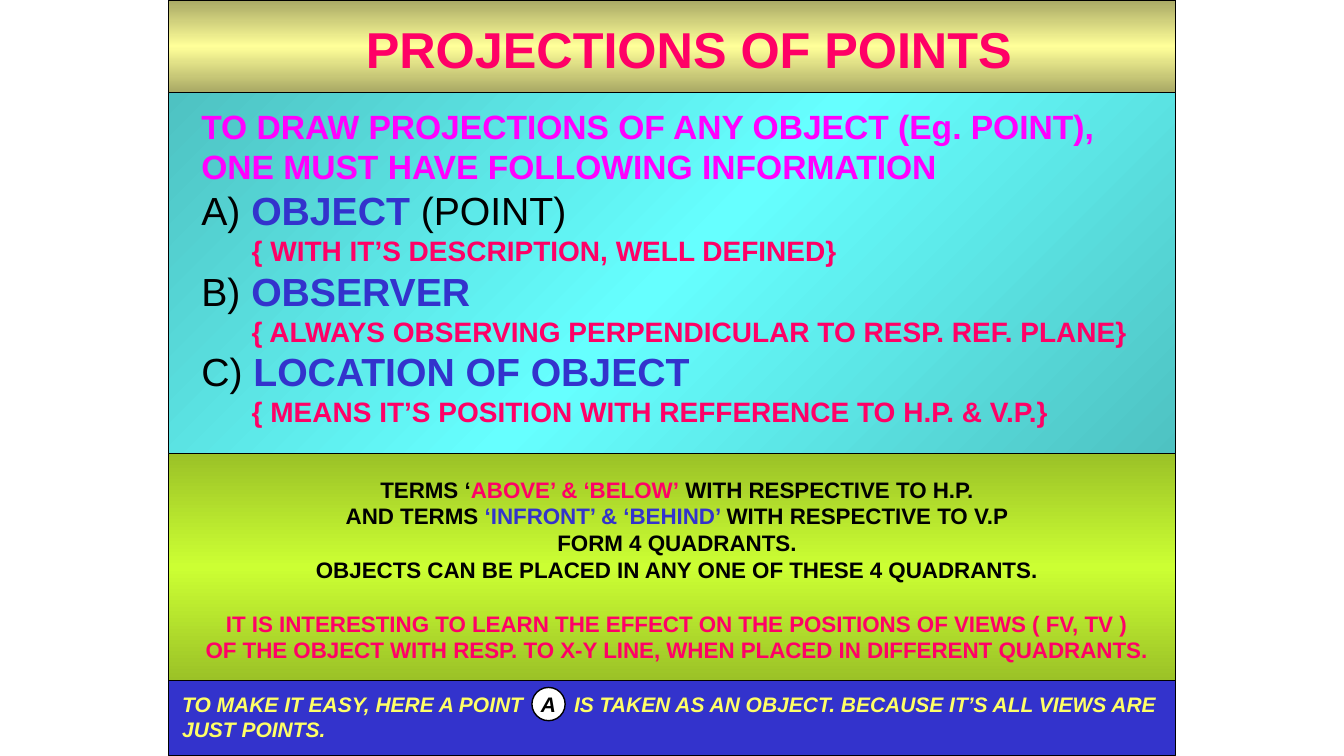
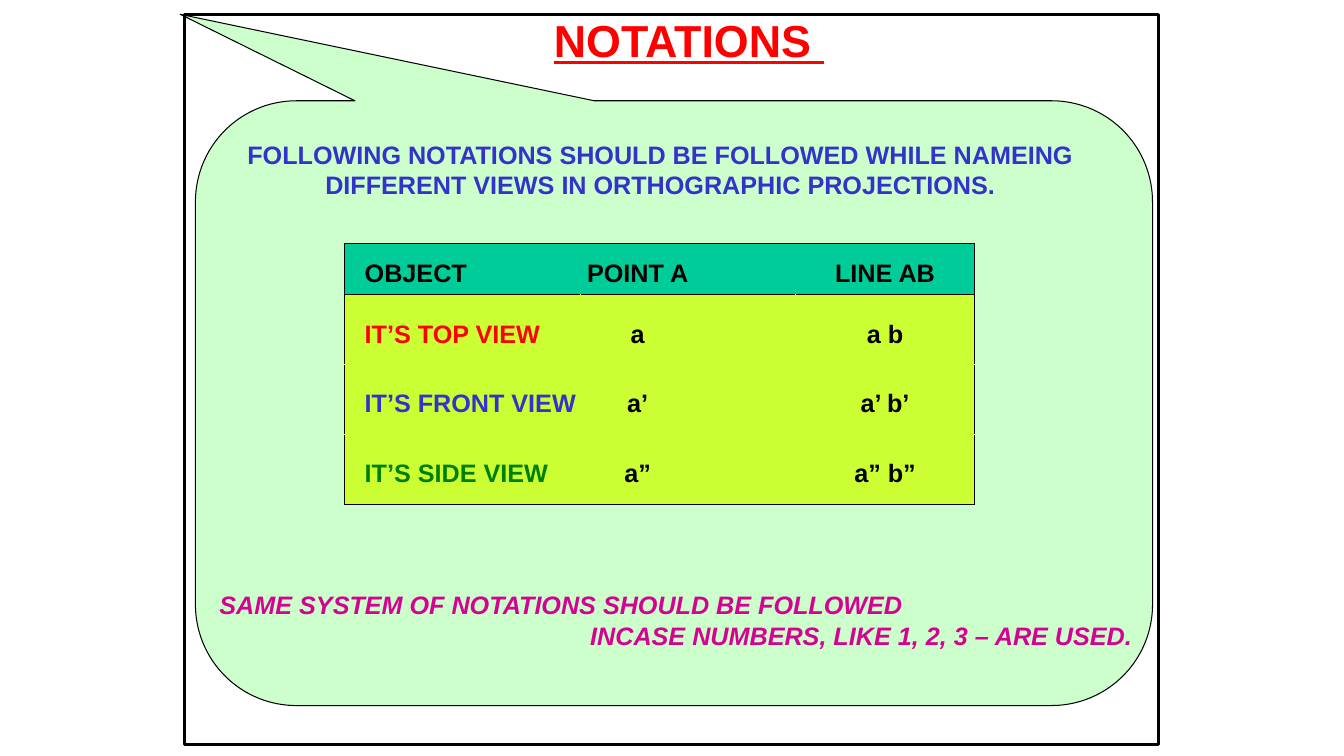
from copy import deepcopy

from lxml.etree import SubElement
from pptx import Presentation
from pptx.dml.color import RGBColor
from pptx.enum.shapes import MSO_SHAPE as SHAPE
from pptx.enum.text import MSO_ANCHOR as ANCHOR, PP_ALIGN as ALIGN
from pptx.oxml.ns import qn
from pptx.util import Inches, Pt

FONT = "Arial"
BLACK, WHITE, RED, GREEN = "000000", "FFFFFF", "FF0000", "008000"
PINK, BLUE, MAGENTA, PURPLE = "FF0066", "3333CC", "FF00FF", "D60093"
YELLOW, LIME, TEAL, MINT = "FFFF66", "CCFF33", "00CC99", "CCFFCC"
NO_STYLE_NO_GRID = "{2D5ABB26-0587-4C30-8999-92F81FD0307C}"

# Slide 1 content: (top, height, fill); a gradient is (edge, middle, angle)
BAND_LEFT, BAND_WIDTH = 1.67, 10
BANDS = [
    (6.75, 0.75, BLUE),
    (4.5, 2.25, ("9BC227", LIME, 90)),
    (0.92, 3.58, ("4EC2C2", "66FFFF", 45)),
    (0, 0.92, ("A9A965", "FFFF99", 90)),
]
INTRO = ["TO DRAW PROJECTIONS OF ANY OBJECT (Eg. POINT),",
         "ONE MUST HAVE FOLLOWING INFORMATION"]
# letter, term, addition, explanation
NEEDS = [
    ("A) ", "OBJECT", " (POINT)", "{ WITH IT’S DESCRIPTION, WELL DEFINED}"),
    ("B) ", "OBSERVER", "", "{ ALWAYS OBSERVING PERPENDICULAR TO RESP. REF. PLANE}"),
    ("C) ", "LOCATION OF OBJECT", "", "{ MEANS IT’S POSITION WITH REFFERENCE TO H.P. & V.P.}"),
]
QUADRANTS = [
    [("TERMS ‘", BLACK), ("ABOVE’ & ‘BELOW’", PINK), (" WITH RESPECTIVE TO H.P.", BLACK)],
    [("AND TERMS ", BLACK), ("‘INFRONT’ & ‘BEHIND’ ", BLUE), ("WITH RESPECTIVE TO V.P", BLACK)],
    [("FORM 4 QUADRANTS.", BLACK)],
    [("OBJECTS CAN BE PLACED IN ANY ONE OF THESE 4 QUADRANTS.", BLACK)],
    [("IT IS INTERESTING TO LEARN THE EFFECT ON THE POSITIONS OF VIEWS ( FV, TV )", PINK)],
    [("OF THE OBJECT WITH RESP. TO X-Y LINE, WHEN PLACED IN DIFFERENT QUADRANTS.", PINK)],
]
FOOTNOTE = ["TO MAKE IT EASY, HERE A POINT\tIS TAKEN AS AN OBJECT. BECAUSE IT’S ALL VIEWS ARE",
            "JUST POINTS."]

# Slide 2 content
NAMING = ["FOLLOWING NOTATIONS SHOULD BE FOLLOWED WHILE NAMEING",
          "DIFFERENT VIEWS IN ORTHOGRAPHIC PROJECTIONS."]
NOTATIONS = [
    ("OBJECT", "POINT A", "LINE AB", BLACK),
    ("IT’S TOP VIEW", "a", "a b", RED),
    ("IT’S FRONT VIEW", "a’", "a’ b’", BLUE),
    ("IT’S SIDE VIEW", "a”", "a” b”", GREEN),
]
COLUMN_WIDTHS = [2.34, 2.14, 1.77]
CELL_MARGINS = [(0.2, 0), (0, 1), (0, 0)]  # left, right
HEADER_HEIGHT, BODY_HEIGHT = 0.5, 2.08
NUMBERS = ["SAME SYSTEM OF NOTATIONS SHOULD BE FOLLOWED",
           "INCASE NUMBERS, LIKE 1, 2, 3 – ARE USED."]


def rgb(color):
    return RGBColor.from_string(color)


def box_of(*lengths):
    return [Inches(v) for v in lengths]


def shape(s, kind, box, fill=None, weight=0.75):
    sp = s.shapes.add_shape(kind, *box_of(*box))
    sp.shadow.inherit = False
    sp.line.color.rgb, sp.line.width = rgb(BLACK), Pt(weight)
    if fill is None:
        sp.fill.background()
    elif isinstance(fill, str):
        sp.fill.solid()
        sp.fill.fore_color.rgb = rgb(fill)
    else:
        edge, middle, angle = fill
        sp.fill.gradient()
        sp.fill.gradient_angle = 360 - angle
        stops = sp._element.spPr.find(qn("a:gradFill")).find(qn("a:gsLst"))
        stops.append(deepcopy(stops[0]))
        for stop, pos, color in zip(sp.fill.gradient_stops, (0, 0.5, 1), (edge, middle, edge)):
            stop.position, stop.color.rgb = pos, rgb(color)
    return sp


def add_run(p, text, color, size, bold=True, italic=False, underline=False):
    r = p.add_run()
    r.text = text
    f = r.font
    f.name, f.size, f.color.rgb = FONT, Pt(size), rgb(color)
    f.bold, f.italic, f.underline = bold, italic, underline


def indent(p, inches):
    p._p.get_or_add_pPr().set("marL", str(Inches(inches)))


def text_box(s, box, lines, size, align=ALIGN.LEFT, wrap=True, **style):
    """Each line is a list of (text, color) runs, with an optional size and bold flag."""
    tf = s.shapes.add_textbox(*box_of(*box)).text_frame
    tf.word_wrap = wrap
    for i, line in enumerate(lines):
        p = tf.paragraphs[0] if i == 0 else tf.add_paragraph()
        p.alignment = align
        for text, color, *own in line:
            add_run(p, text, color, *(own or [size]), **style)
    return tf.paragraphs


def one_color(lines, color):
    return [[(line, color)] for line in lines]


def notation_table(s):
    rows, cols = len(NOTATIONS), len(COLUMN_WIDTHS)
    table = s.shapes.add_table(rows, cols, *box_of(
        3.42, 2.42, sum(COLUMN_WIDTHS), HEADER_HEIGHT + BODY_HEIGHT)).table
    table.first_row = table.horz_banding = False
    table._tbl.tblPr.find(qn("a:tableStyleId")).text = NO_STYLE_NO_GRID
    for column, width in zip(table.columns, COLUMN_WIDTHS):
        column.width = Inches(width)
    for r, (*texts, color) in enumerate(NOTATIONS):
        fill = TEAL if r == 0 else LIME
        table.rows[r].height = Inches(HEADER_HEIGHT if r == 0 else BODY_HEIGHT / (rows - 1))
        for c, text in enumerate(texts):
            cell = table.cell(r, c)
            cell.vertical_anchor = ANCHOR.MIDDLE
            cell.margin_left, cell.margin_right = box_of(*CELL_MARGINS[c])
            cell.margin_top, cell.margin_bottom = box_of(0.1, 0)
            # Black outline and header rule; inner borders blend into the fill
            edges = {"lnL": c == 0, "lnR": c == cols - 1, "lnT": r < 2, "lnB": r in (0, rows - 1)}
            for tag, black in edges.items():
                ln = SubElement(cell._tc.get_or_add_tcPr(), qn("a:" + tag), w=str(Pt(0.75)))
                SubElement(SubElement(ln, qn("a:solidFill")), qn("a:srgbClr"),
                           val=BLACK if black else fill)
            cell.fill.solid()
            cell.fill.fore_color.rgb = rgb(fill)
            p = cell.text_frame.paragraphs[0]
            p.alignment = ALIGN.LEFT if c == 0 else ALIGN.CENTER
            add_run(p, text, color if c == 0 else BLACK, 18)


def points_slide(s):
    for top, height, fill in BANDS:
        shape(s, SHAPE.RECTANGLE, (BAND_LEFT, top, BAND_WIDTH, height), fill)

    # What must be known
    lines = one_color(INTRO, MAGENTA)
    for letter, term, addition, explanation in NEEDS:
        head = [(letter, BLACK, 28, False), (term, BLUE, 28)]
        if addition:
            head.append((addition, BLACK, 28, False))
        lines += [head, [(explanation, PINK, 20)]]
    paragraphs = text_box(s, (1.9, 1, 9.6, 3.3), lines, 24)
    for p in paragraphs[len(INTRO) + 1::2]:
        indent(p, 0.5)

    # Quadrants, title
    paragraphs = text_box(s, (1.92, 4.67, 9.6, 1.97), QUADRANTS, 16, ALIGN.CENTER)
    paragraphs[4].space_before = Pt(19)
    text_box(s, (3.34, 0.13, 7, 0.7), one_color(["PROJECTIONS OF POINTS"], PINK), 36,
             ALIGN.CENTER)

    # Footnote with the circled point between its two halves
    sp = shape(s, SHAPE.OVAL, (5.28, 6.82, 0.33, 0.33), WHITE, 1)
    tf = sp.text_frame
    tf.margin_left = tf.margin_right = tf.margin_top = tf.margin_bottom = 0
    tf.word_wrap = False
    tf.vertical_anchor = ANCHOR.MIDDLE
    tf.paragraphs[0].alignment = ALIGN.CENTER
    add_run(tf.paragraphs[0], "A", BLACK, 15, italic=True)
    paragraphs = text_box(s, (1.71, 6.81, 10.02, 0.6), one_color(FOOTNOTE, YELLOW), 15,
                          wrap=False, italic=True)
    tabs = SubElement(paragraphs[0]._p.get_or_add_pPr(), qn("a:tabLst"))
    SubElement(tabs, qn("a:tab"), pos=str(Inches(3.89)), algn="l")


def notations_slide(s):
    callout = shape(s, SHAPE.ROUNDED_RECTANGULAR_CALLOUT, (1.94, 1, 9.5, 6), MINT)
    for i, value in enumerate((-0.516, -0.643, 0.167)):
        callout.adjustments[i] = value
    text_box(s, (5.4, 0.08, 2.94, 0.63), one_color(["NOTATIONS "], RED), 32,
             wrap=False, underline=True)
    text_box(s, (2.34, 1.33, 8.43, 0.7), one_color(NAMING, BLUE), 18, ALIGN.CENTER, wrap=False)
    notation_table(s)
    paragraphs = text_box(s, (2.08, 5.8, 9.42, 0.7), one_color(NUMBERS, PURPLE), 18, italic=True)
    indent(paragraphs[1], 3.68)
    shape(s, SHAPE.RECTANGLE, (1.83, 0.14, 9.67, 7.25), weight=2)


def main():
    prs = Presentation()
    prs.slide_width, prs.slide_height = box_of(13.34, 7.5)
    for build in (points_slide, notations_slide):
        build(prs.slides.add_slide(prs.slide_layouts[6]))
    prs.save("out.pptx")


if __name__ == "__main__":
    main()
